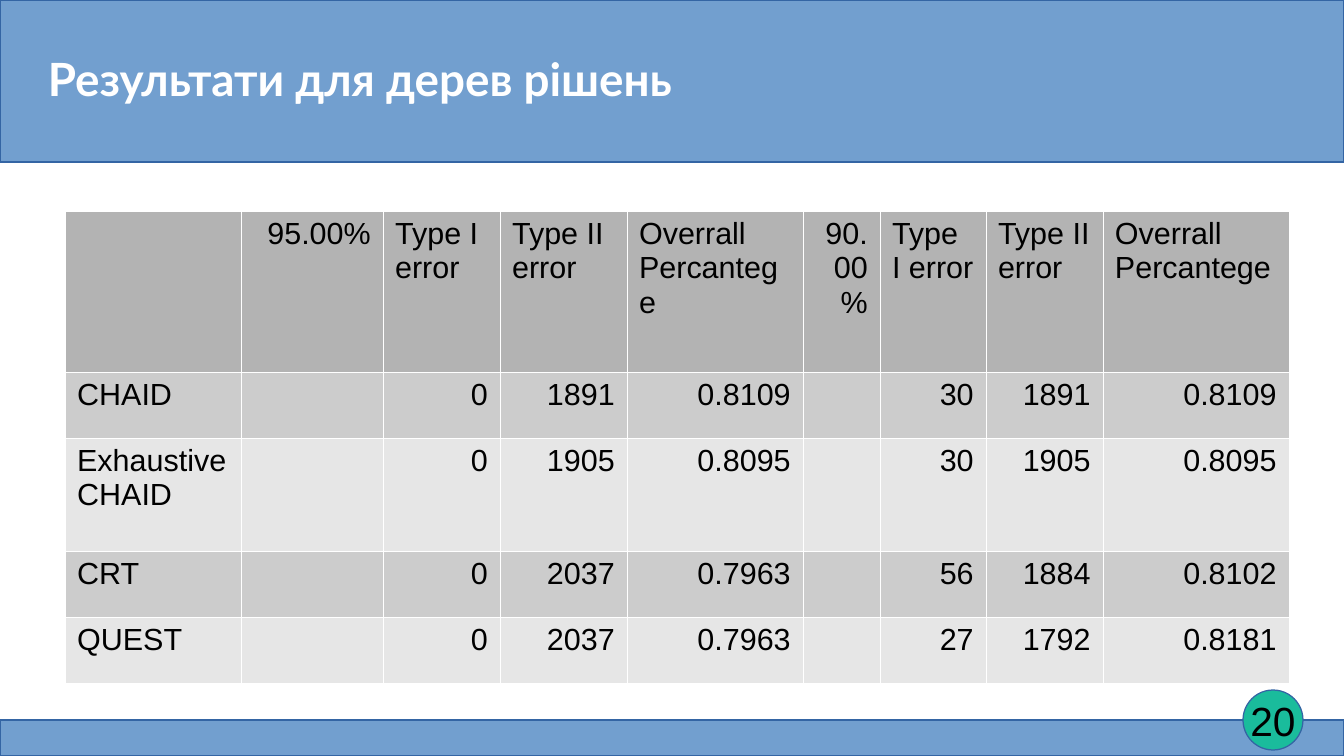
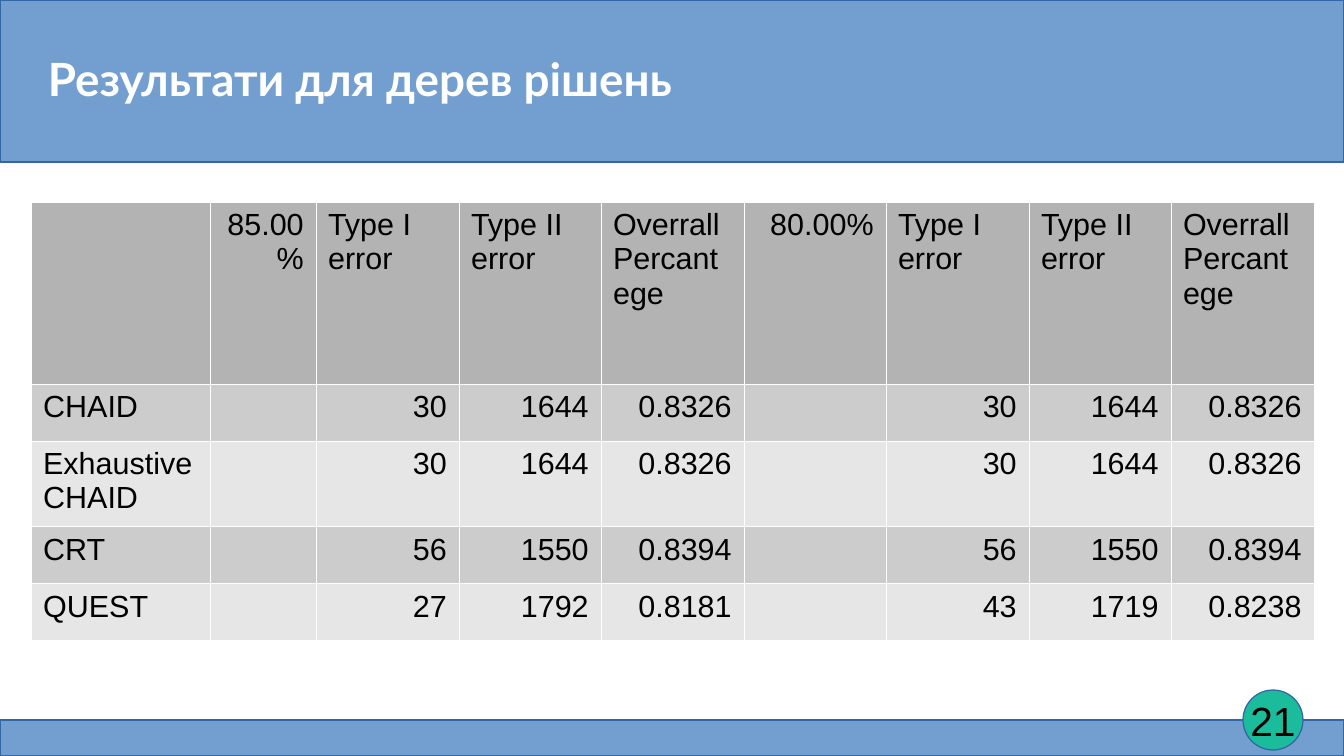
from dataclasses import dataclass

from lxml import etree
from pptx import Presentation
from pptx.dml.color import RGBColor
from pptx.enum.shapes import MSO_SHAPE
from pptx.enum.text import MSO_ANCHOR, MSO_AUTO_SIZE, PP_ALIGN
from pptx.oxml.ns import qn
from pptx.slide import Slide, SlideLayout
from pptx.text.text import TextFrame
from pptx.util import Pt

RECTANGLE, ELLIPSE = MSO_SHAPE.RECTANGLE, MSO_SHAPE.OVAL
LEFT, CENTER, RIGHT = PP_ALIGN.LEFT, PP_ALIGN.CENTER, PP_ALIGN.RIGHT
TOP, MIDDLE = MSO_ANCHOR.TOP, MSO_ANCHOR.MIDDLE
NO_AUTOFIT = MSO_AUTO_SIZE.NONE

EMU_PER_PX = 914400 / 122
PAGE_WIDTH, PAGE_HEIGHT = 1344, 756
TITLE_ONLY = 5
BORDER_WIDTH = 762
COLORS = {
    "band": "729FCF",
    "outline": "3465A4",
    "badge": "1ABC9C",
    "header": "B3B3B3",
    "odd": "CCCCCC",
    "even": "E6E6E6",
    "text": "000000",
    "white": "FFFFFF",
}
BODY_FONT, TITLE_FONT = "Arial", "Lato"
TITLE = "Результати для дерев рішень"
MEASURES = ("Type I error", "Type II error", "Overrall \nPercantege")
METHODS = ("CHAID", "Exhaustive CHAID", "CRT", "QUEST")


@dataclass(frozen=True)
class Box:
    left: int
    top: int
    width: int
    height: int

    def emu(self) -> tuple[int, int, int, int]:
        return px(self.left), px(self.top), px(self.width), px(self.height)


@dataclass(frozen=True)
class Decoration:
    kind: MSO_SHAPE
    box: Box
    color: str


Measures = tuple[str, str, str]


@dataclass(frozen=True)
class ResultPage:
    number: int
    left: int
    top: int
    columns: tuple[int, ...]
    rows: tuple[int, ...]
    levels: tuple[str, str]
    results: tuple[tuple[Measures, Measures], ...]

    def grid(self) -> list[list[str]]:
        first, second = self.levels
        header = ["", first, *MEASURES, second, *MEASURES]
        body = [
            [method, "", *left, "", *right]
            for method, (left, right) in zip(METHODS, self.results)
        ]
        return [header, *body]


DECORATIONS = (
    Decoration(RECTANGLE, Box(0, 720, PAGE_WIDTH, 36), "band"),
    Decoration(RECTANGLE, Box(0, 0, PAGE_WIDTH, 162), "band"),
    Decoration(ELLIPSE, Box(1243, 690, 60, 60), "badge"),
)
TITLE_BOX = Box(48, 30, 1249, 96)
NUMBER_BOX = Box(1225, 684, 96, 72)

PAGES = (
    ResultPage(
        number=20,
        left=65,
        top=211,
        columns=(176, 142, 117, 127, 176, 77, 106, 117, 186),
        rows=(161, 66, 113, 66, 66),
        levels=("95.00%", "90.00%"),
        results=(
            (("0", "1891", "0.8109"), ("30", "1891", "0.8109")),
            (("0", "1905", "0.8095"), ("30", "1905", "0.8095")),
            (("0", "2037", "0.7963"), ("56", "1884", "0.8102")),
            (("0", "2037", "0.7963"), ("27", "1792", "0.8181")),
        ),
    ),
    ResultPage(
        number=21,
        left=31,
        top=202,
        columns=(179, 106) + (143, 142) * 3 + (143,),
        rows=(182, 57, 80, 57, 57),
        levels=("85.00%", "80.00%"),
        results=(
            (("30", "1644", "0.8326"), ("30", "1644", "0.8326")),
            (("30", "1644", "0.8326"), ("30", "1644", "0.8326")),
            (("56", "1550", "0.8394"), ("56", "1550", "0.8394")),
            (("27", "1792", "0.8181"), ("43", "1719", "0.8238")),
        ),
    ),
)


def px(length: int) -> int:
    return round(length * EMU_PER_PX)


def rgb(name: str) -> RGBColor:
    return RGBColor.from_string(COLORS[name])


def write_text(
    frame: TextFrame,
    text: str,
    *,
    size: int,
    font: str = BODY_FONT,
    color: str = "text",
    bold: bool = False,
    align: PP_ALIGN = LEFT,
    anchor: MSO_ANCHOR = MIDDLE,
) -> None:
    frame.word_wrap = True
    frame.vertical_anchor = anchor
    para = frame.paragraphs[0]
    para.text = text
    para.alignment = align
    for span in para.runs:
        span.font.size = Pt(size)
        span.font.name = font
        span.font.bold = bold
        span.font.color.rgb = rgb(color)


def decorate_layout(layout: SlideLayout, page: Slide) -> None:
    for position, item in enumerate(DECORATIONS, start=2):
        shape = page.shapes.add_shape(item.kind, *item.box.emu())
        shape.shadow.inherit = False
        shape.fill.solid()
        shape.fill.fore_color.rgb = rgb(item.color)
        shape.line.color.rgb = rgb("outline")
        shape.line.width = Pt(0)
        layout.shapes.element.insert(position, shape.element)


def add_title(page: Slide) -> None:
    title = page.shapes.title
    title.left, title.top, title.width, title.height = TITLE_BOX.emu()
    frame = title.text_frame
    frame.auto_size = NO_AUTOFIT
    frame.margin_left = frame.margin_right = 0
    frame.margin_top = frame.margin_bottom = 0
    write_text(frame, TITLE, size=27, font=TITLE_FONT, color="white", bold=True)


def add_number(page: Slide, number: int) -> None:
    box = page.shapes.add_textbox(*NUMBER_BOX.emu())
    write_text(box.text_frame, str(number), size=24, align=CENTER)


def add_borders(properties: etree._Element) -> None:
    for side in ("a:lnL", "a:lnR", "a:lnT", "a:lnB"):
        line = etree.SubElement(properties, qn(side), w=str(BORDER_WIDTH))
        fill = etree.SubElement(line, qn("a:solidFill"))
        etree.SubElement(fill, qn("a:srgbClr"), val=COLORS["white"])


def row_color(row: int) -> str:
    if row == 0:
        return "header"
    return "odd" if row % 2 else "even"


def cell_align(row: int, column: int, text: str) -> PP_ALIGN:
    is_number = text.endswith("%") if row == 0 else column > 0
    return RIGHT if is_number else LEFT


def add_results(page: Slide, results: ResultPage) -> None:
    box = Box(results.left, results.top, sum(results.columns), sum(results.rows))
    table = page.shapes.add_table(
        len(results.rows), len(results.columns), *box.emu()
    ).table
    table.first_row = False
    table.horz_banding = False
    for column, width in zip(table.columns, results.columns):
        column.width = px(width)
    for row, height in zip(table.rows, results.rows):
        row.height = px(height)
    for row_index, texts in enumerate(results.grid()):
        for column_index, text in enumerate(texts):
            cell = table.cell(row_index, column_index)
            add_borders(cell._tc.get_or_add_tcPr())
            cell.fill.solid()
            cell.fill.fore_color.rgb = rgb(row_color(row_index))
            if text:
                write_text(
                    cell.text_frame,
                    text,
                    size=18,
                    align=cell_align(row_index, column_index, text),
                    anchor=TOP,
                )


def main() -> None:
    deck = Presentation()
    deck.slide_width, deck.slide_height = px(PAGE_WIDTH), px(PAGE_HEIGHT)
    layout = deck.slide_layouts[TITLE_ONLY]
    for index, results in enumerate(PAGES):
        page = deck.slides.add_slide(layout)
        if index == 0:
            decorate_layout(layout, page)
        add_title(page)
        add_number(page, results.number)
        add_results(page, results)
    deck.save("out.pptx")


if __name__ == "__main__":
    main()
